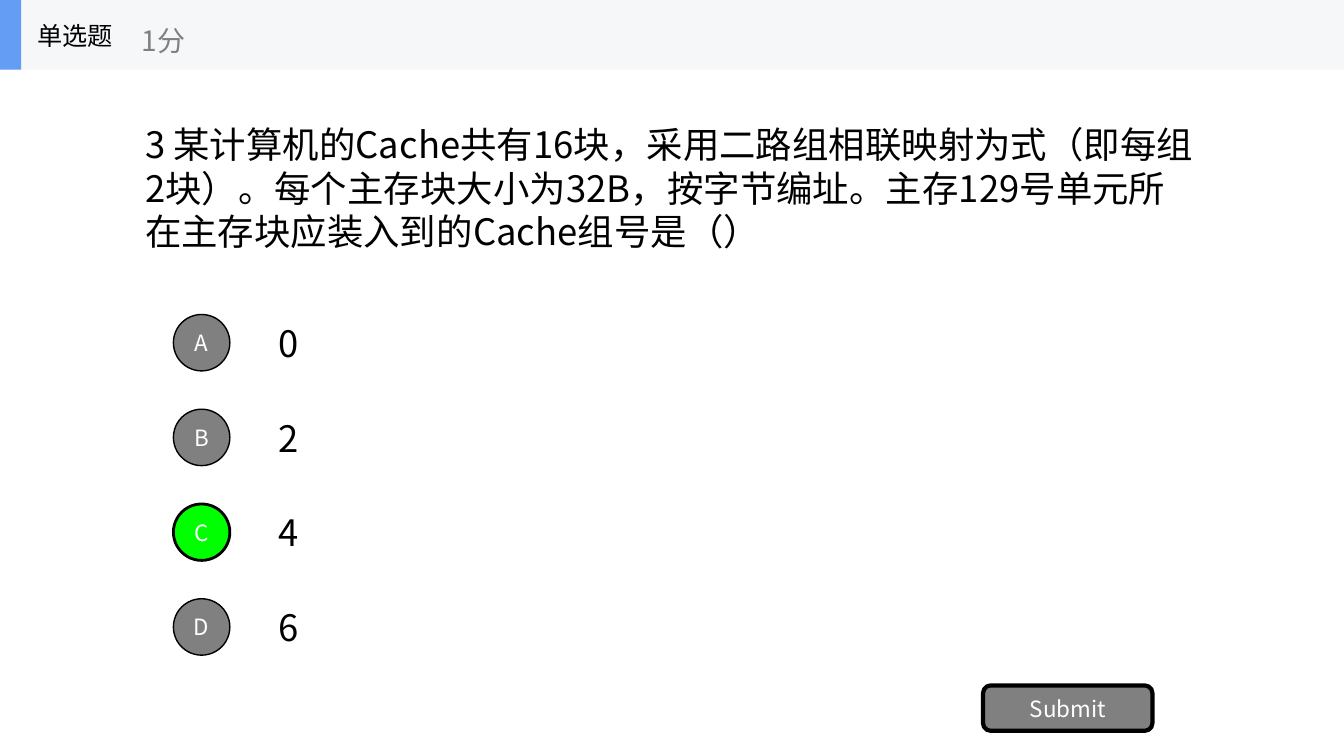
from dataclasses import dataclass

from lxml.etree import SubElement
from pptx import Presentation
from pptx.dml.color import RGBColor
from pptx.enum.shapes import MSO_SHAPE as Kind
from pptx.enum.text import MSO_ANCHOR as Anchor, PP_ALIGN as Align
from pptx.oxml.ns import qn
from pptx.util import Inches, Pt

FONT = "Noto Sans CJK SC"
BLACK = RGBColor(0x00, 0x00, 0x00)
WHITE = RGBColor(0xFF, 0xFF, 0xFF)
GRAY = RGBColor(0x80, 0x80, 0x80)
GREEN = RGBColor(0x00, 0xFF, 0x00)
PALE = RGBColor(0xF6, 0xF7, 0xF8)
BLUE = RGBColor(0x63, 0x9E, 0xF4)

QUESTION = (
    "3 某计算机的Cache共有16块，采用二路组相联映射为式（即每组2块）。"
    "每个主存块大小为32B，按字节编址。主存129号单元所在主存块应装入到的Cache组号是（）"
)


@dataclass
class Box:
    left: float
    top: float
    width: float
    height: float

    def place(self) -> list:
        return [Inches(v) for v in (self.left, self.top, self.width, self.height)]


@dataclass
class Choice:
    letter: str
    answer: str
    fill: RGBColor = GRAY
    line: float = 1


CHOICES = [
    Choice("A", "0"),
    Choice("B", "2"),
    Choice("C", "4", GREEN, 2),
    Choice("D", "6"),
]
FIRST_TOP, STEP = 3.05, 0.94


def write(frame, text: str, size: float, color: RGBColor,
          align: Align = Align.LEFT) -> None:
    frame.word_wrap = True
    frame.vertical_anchor = Anchor.MIDDLE
    para = frame.paragraphs[0]
    para.alignment = align
    run = para.add_run()
    run.text = text
    run.font.size = Pt(size)
    run.font.name = FONT
    run.font.color.rgb = color
    # East Asian glyphs take their own typeface
    SubElement(run.font._element, qn("a:ea")).set("typeface", FONT)


def add_text(slide, box: Box, text: str, size: float,
             color: RGBColor = BLACK) -> None:
    frame = slide.shapes.add_textbox(*box.place()).text_frame
    write(frame, text, size, color)


def add_shape(slide, kind: Kind, box: Box, fill: RGBColor, line: float = 0):
    shape = slide.shapes.add_shape(kind, *box.place())
    shape.shadow.inherit = False
    shape.fill.solid()
    shape.fill.fore_color.rgb = fill
    if line:
        shape.line.color.rgb = BLACK
        shape.line.width = Pt(line)
    else:
        shape.line.fill.background()
    return shape


def add_button(slide, kind: Kind, box: Box, text: str,
               fill: RGBColor, line: float) -> None:
    frame = add_shape(slide, kind, box, fill, line).text_frame
    frame.margin_left = frame.margin_right = 0
    frame.margin_top = frame.margin_bottom = 0
    write(frame, text, 16, WHITE, Align.CENTER)


def main() -> None:
    deck = Presentation()
    deck.slide_width, deck.slide_height = Inches(13.33), Inches(7.5)
    slide = deck.slides.add_slide(deck.slide_layouts[6])

    # Question
    add_text(slide, Box(1.34, 0.69, 10.6, 2.34), QUESTION, 26)

    # Choices
    for row, choice in enumerate(CHOICES):
        top = FIRST_TOP + row * STEP
        add_text(slide, Box(2.66, top, 9.33, 0.7), choice.answer, 26)
        add_button(slide, Kind.OVAL, Box(1.72, top + 0.07, 0.56, 0.56),
                   choice.letter, choice.fill, choice.line)

    # Submit button
    add_button(slide, Kind.ROUNDED_RECTANGLE, Box(9.75, 6.8, 1.68, 0.45),
               "Submit", GRAY, 3)

    # Header bar
    add_shape(slide, Kind.RECTANGLE, Box(0, 0, 13.33, 0.69), PALE)
    add_shape(slide, Kind.RECTANGLE, Box(0, 0, 0.21, 0.69), BLUE)
    add_text(slide, Box(0.27, 0, 2.08, 0.7), "单选题", 18)
    add_text(slide, Box(1.31, 0.12, 2.5, 0.56), "1分", 20, GRAY)

    deck.save("out.pptx")


if __name__ == "__main__":
    main()
